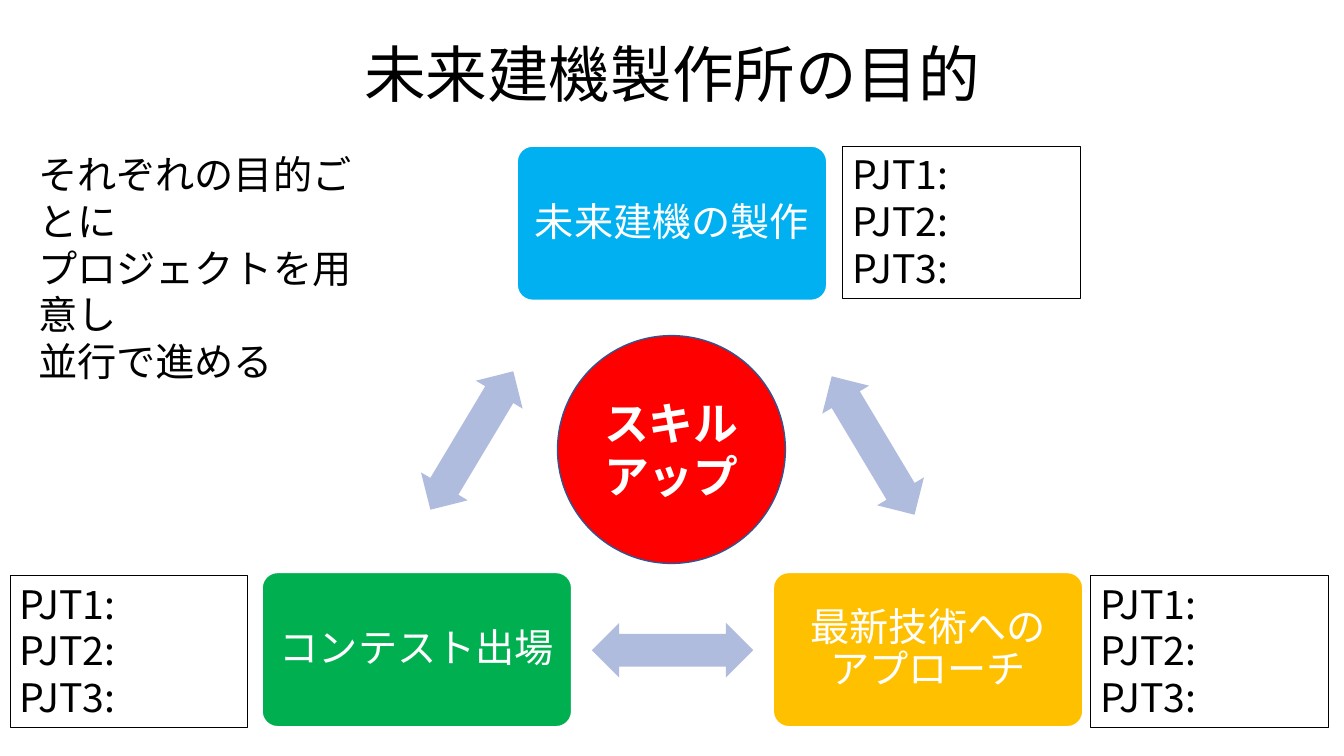
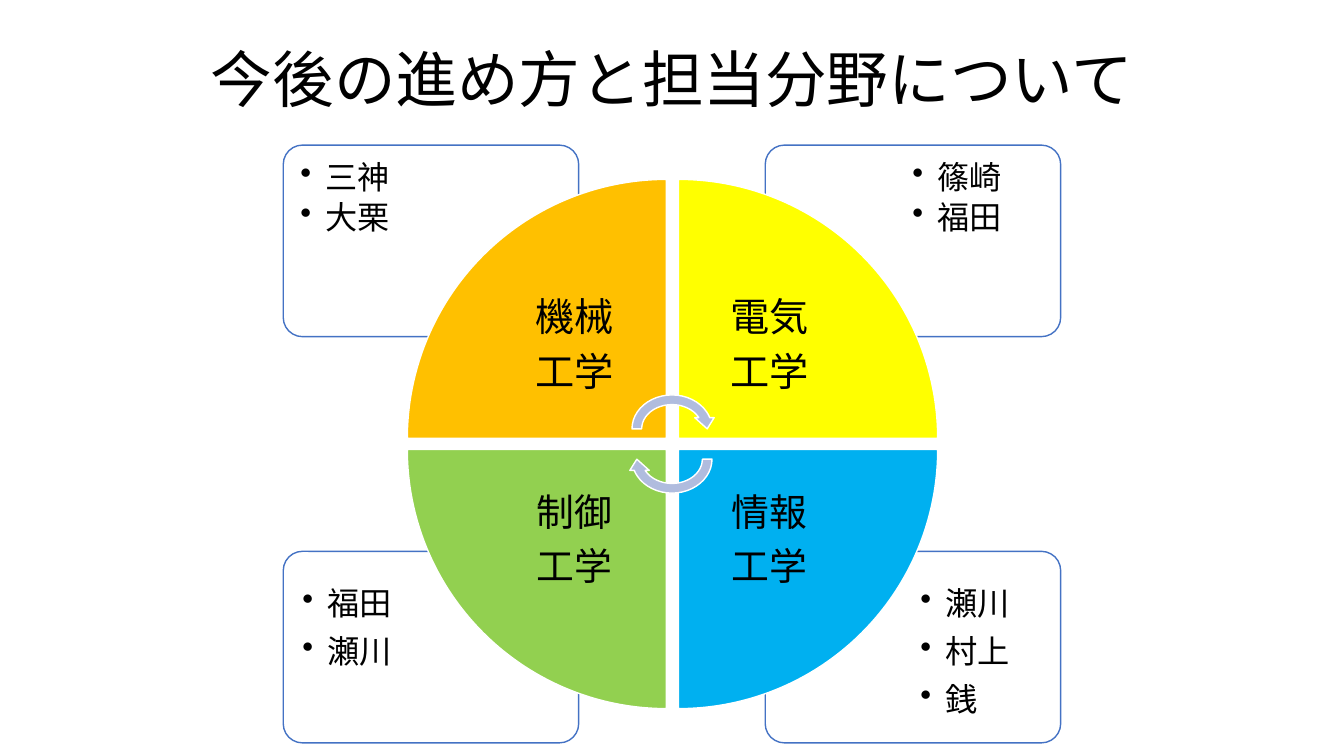
from typing import NamedTuple

from lxml import etree
from pptx import Presentation
from pptx.dml.color import RGBColor
from pptx.enum.shapes import MSO_SHAPE as Preset
from pptx.enum.text import MSO_ANCHOR as Anchor, PP_ALIGN as Align
from pptx.oxml.ns import qn
from pptx.util import Inches, Pt

FONT = "Noto Sans CJK JP"
LINE_HEIGHT = 1.19
TIGHT = 0.9

BLACK = RGBColor(0x00, 0x00, 0x00)
WHITE = RGBColor(0xFF, 0xFF, 0xFF)
RED = RGBColor(0xFF, 0x00, 0x00)
SKY = RGBColor(0x00, 0xB0, 0xF0)
AMBER = RGBColor(0xFF, 0xC0, 0x00)
GREEN = RGBColor(0x00, 0xB0, 0x50)
LIME = RGBColor(0x92, 0xD0, 0x50)
YELLOW = RGBColor(0xFF, 0xFF, 0x00)
LAVENDER = RGBColor(0xB0, 0xBC, 0xDE)
BLUE = RGBColor(0x44, 0x72, 0xC4)
NAVY = RGBColor(0x32, 0x54, 0x91)


class TextStyle(NamedTuple):
    size: float
    color: RGBColor = BLACK
    bold: bool = False
    align: Align = Align.LEFT
    anchor: Anchor = Anchor.TOP
    spacing: float = 1
    gap: float = 0
    inset: tuple = (0.1, 0.05)
    bullet: bool = False


CENTERED = TextStyle(28, align=Align.CENTER, anchor=Anchor.MIDDLE, spacing=TIGHT)
TITLE = CENTERED._replace(size=44)
PURPOSE = CENTERED._replace(color=WHITE, inset=(0.12, 0.12))
SKILL = CENTERED._replace(size=32, color=WHITE, bold=True, spacing=1)
BODY = TextStyle(28)
FIELD = CENTERED._replace(gap=9.3, inset=(0.22, 0.22))
MEMBERS = TextStyle(23, spacing=TIGHT, gap=4, inset=(0.12, 0.12), bullet=True)


def add_bullet(paragraph):
    properties = paragraph._p.get_or_add_pPr()
    properties.set("marL", str(Inches(0.25)))
    properties.set("indent", str(-Inches(0.25)))
    etree.SubElement(properties, qn("a:buChar")).set("char", "•")


def add_run(paragraph, text, style):
    run = paragraph.add_run()
    run.text = text
    font = run.font
    font.size, font.bold, font.name = Pt(style.size), style.bold, FONT
    font.color.rgb = style.color
    etree.SubElement(run._r.get_or_add_rPr(), qn("a:ea")).set("typeface", FONT)


def write(shape, lines, style):
    """Fill a shape with one paragraph per line; a newline breaks within one."""
    frame = shape.text_frame
    frame.word_wrap = True
    frame.vertical_anchor = style.anchor
    frame.margin_left = frame.margin_right = Inches(style.inset[0])
    frame.margin_top = frame.margin_bottom = Inches(style.inset[1])
    for index, line in enumerate(lines):
        paragraph = frame.add_paragraph() if index else frame.paragraphs[0]
        paragraph.alignment = style.align
        paragraph.line_spacing = Pt(style.size * LINE_HEIGHT * style.spacing)
        paragraph.space_before = Pt(style.gap if index else 0)
        if style.bullet:
            add_bullet(paragraph)
        for part_index, part in enumerate(line.split("\n")):
            if part_index:
                paragraph.add_line_break()
            add_run(paragraph, part, style)


def add_text(slide, box, lines, style):
    write(slide.shapes.add_textbox(*map(Inches, box)), lines, style)


def add_preset(slide, preset, box, fill, line=None, width=1, rotation=0, adjust=()):
    shape = slide.shapes.add_shape(preset, *map(Inches, box))
    shape.shadow.inherit = False
    shape.rotation = rotation
    for index, value in enumerate(adjust):
        shape.adjustments[index] = value
    shape.fill.solid()
    shape.fill.fore_color.rgb = fill
    if line is None:
        shape.line.fill.background()
    else:
        shape.line.color.rgb = line
        shape.line.width = Pt(width)
    return shape


def add_titled_slide(deck, title, top):
    slide = deck.slides.add_slide(deck.slide_layouts[6])
    add_text(slide, (0.92, top, 11.5, 1.45), [title], TITLE)
    return slide


def add_purpose(slide, left, top, label, fill):
    card = add_preset(slide, Preset.ROUNDED_RECTANGLE, (left, top, 3.07, 1.53),
                      fill, WHITE, adjust=[0.1])
    write(card, [label], PURPOSE)


def add_projects(slide, left, top):
    box = add_preset(slide, Preset.RECTANGLE, (left, top, 2.36, 1.51),
                     WHITE, BLACK, width=0.75)
    write(box, [f"PJT{number}:" for number in range(1, 4)], BODY)


def build_purposes(deck):
    slide = add_titled_slide(deck, "未来建機製作所の目的", 0.04)
    for left, top, label, fill, projects_left, projects_top in (
        (5.13, 1.45, "未来建機の製作", SKY, 8.36, 1.45),
        (7.67, 5.68, "最新技術への\nアプローチ", AMBER, 10.82, 5.71),
        (2.6, 5.68, "コンテスト出場", GREEN, 0.1, 5.71),
    ):
        add_purpose(slide, left, top, label, fill)
        add_projects(slide, projects_left, projects_top)
    for left, top, rotation in ((7.86, 4.15, 59.1), (5.87, 6.18, 180), (3.88, 4.1, 300.9)):
        add_preset(slide, Preset.LEFT_RIGHT_ARROW, (left, top, 1.6, 0.54), LAVENDER,
                   rotation=rotation, adjust=[0.6, 0.5])
    skill = add_preset(slide, Preset.OVAL, (5.53, 3.33, 2.26, 2.26), RED, NAVY)
    write(skill, ["スキルアップ"], SKILL)
    add_text(slide, (0.28, 1.45, 3.47, 2.44),
             ["それぞれの目的ごとに", "プロジェクトを用意し", "並行で進める"], BODY)


def add_field(slide, row, column, name, size, fill):
    """Draw one quarter of the wheel with its label towards the centre."""
    left, top = (4.04, 6.73)[column], (1.78, 4.46)[row]
    rotation = ((0, 90), (270, 180))[row][column]
    add_preset(slide, Preset.PIE_WEDGE, (left, top, 2.57, 2.57), fill, WHITE,
               rotation=rotation)
    label_box = (left + 0.75 * (1 - column), top + 0.75 * (1 - row), 1.81, 1.81)
    add_text(slide, label_box, [name, "工学"], FIELD._replace(size=size))


def build_fields(deck):
    slide = add_titled_slide(deck, "今後の進め方と担当分野について", 0.09)
    for top in (1.44, 5.47):
        for left in (2.81, 7.59):
            add_preset(slide, Preset.ROUNDED_RECTANGLE, (left, top, 2.93, 1.9),
                       WHITE, BLUE, adjust=[0.1])
    add_field(slide, 0, 0, "機械", 28, AMBER)
    add_field(slide, 0, 1, "電気", 28, YELLOW)
    add_field(slide, 1, 1, "情報", 27, SKY)
    add_field(slide, 1, 0, "制御", 27, LIME)
    for top, rotation in ((3.87, 0), (4.17, 180)):
        add_preset(slide, Preset.CIRCULAR_ARROW, (6.22, top, 0.89, 0.77),
                   LAVENDER, WHITE, rotation=rotation)
    loose = MEMBERS._replace(gap=9.7)
    for left, top, members, style in (
        (2.86, 1.48, ["三神", "大栗"], MEMBERS),
        (8.51, 1.48, ["篠崎", "福田"], MEMBERS._replace(align=Align.CENTER)),
        (2.88, 5.71, ["福田", "瀬川"], loose),
        (9.01, 5.71, ["瀬川", "村上", "銭"], loose),
    ):
        add_text(slide, (left, top, 1.97, 1.52), members, style)


def main():
    deck = Presentation()
    deck.slide_width, deck.slide_height = Inches(13.33), Inches(7.5)
    build_purposes(deck)
    build_fields(deck)
    deck.save("out.pptx")


if __name__ == "__main__":
    main()
